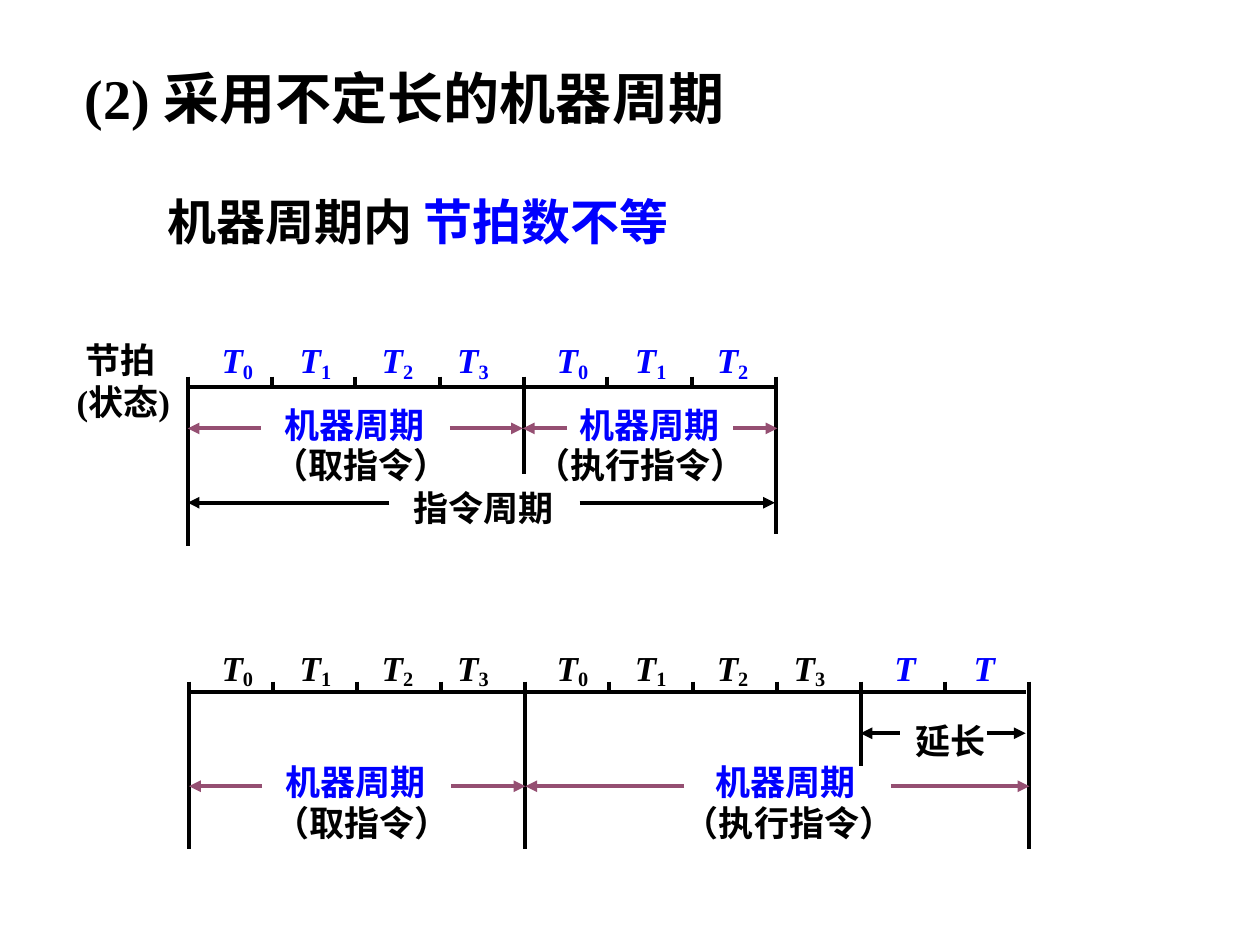
from pptx import Presentation
from pptx.dml.color import RGBColor
from pptx.enum.shapes import MSO_CONNECTOR
from pptx.enum.text import MSO_ANCHOR, MSO_AUTO_SIZE, PP_ALIGN
from pptx.oxml.ns import qn
from pptx.util import Emu, Pt
from lxml import etree

STRAIGHT = MSO_CONNECTOR.STRAIGHT
TOP = MSO_ANCHOR.TOP
NO_FIT = MSO_AUTO_SIZE.NONE
LEFT = PP_ALIGN.LEFT

PX = 9144  # 100 px to the inch
BLACK, BLUE, PLUM = "000000", "0000FF", "954F72"

deck = Presentation()
deck.slide_width, deck.slide_height = Emu(1000 * PX), Emu(750 * PX)
page = deck.slides.add_slide(deck.slide_layouts[1])


def add_line(start, end, color=BLACK, arrow=False):
    line = page.shapes.add_connector(STRAIGHT, *[Emu(v * PX) for v in (*start, *end)])
    line.line.color.rgb = RGBColor.from_string(color)
    line.line.width = Pt(2.25)
    properties = line._element.spPr
    if arrow:
        etree.SubElement(line.line._get_or_add_ln(), qn("a:tailEnd"), type="triangle")
    etree.SubElement(properties, qn("a:effectLst"))


def write_text(box, place, lines, size=20, wrap=False):
    """Place a box and fill it; each line is a list of (text, color) spans."""
    box.left, box.top, box.width, box.height = [Emu(v * PX) for v in place]
    frame = box.text_frame
    frame.word_wrap = wrap
    frame.auto_size = NO_FIT
    frame.vertical_anchor = TOP
    for index, spans in enumerate(lines):
        para = frame.add_paragraph() if index else frame.paragraphs[0]
        if box.is_placeholder:
            layout = para._p.get_or_add_pPr()
            layout.set("marL", "0")
            layout.set("indent", "0")
            etree.SubElement(layout, qn("a:buNone"))
            para.space_before = Pt(0)
        para.alignment = LEFT
        para.font.name = "Times New Roman"
        para.font.size = Pt(size)
        para.font.bold = True
        for text, color in spans:
            span = para.add_run()
            span.text = text
            span.font.color.rgb = RGBColor.from_string(color)
    return frame


write_text(page.shapes.title, (57, 45, 640, 64),
           [[("(2) 采用不定长的机器周期", BLACK)]], 32, True)
write_text(page.placeholders[1], (123, 147, 551, 57),
           [[("机器周期内 ", BLACK), ("节拍数不等", BLUE)]], 28, True)

# Time axes: left, right, y, number of beats, and the bottom of each long divider
axes = [
    (149, 615, 307, 7, {0: 433, 4: 376, 7: 424}),
    (150, 814, 549, 10, {0: 674, 4: 674, 8: 608, 10: 674}),
]
for left, right, y, beats, dividers in axes:
    add_line((left, y), (right, y))
    for beat in range(beats + 1):
        x = left + round(beat * 200 / 3)
        add_line((x, y - 8), (x, dividers.get(beat, y)))

# Arrows: from x, to x, y, color
arrows = [
    (207, 149, 340, PLUM), (357, 415, 340, PLUM),
    (450, 415, 340, PLUM), (582, 617, 340, PLUM),
    (309, 149, 399, BLACK), (460, 615, 399, BLACK),
    (208, 150, 624, PLUM), (358, 417, 624, PLUM),
    (543, 417, 624, PLUM), (707, 817, 624, PLUM),
    (714, 683, 582, BLACK), (783, 814, 582, BLACK),
]
for start, end, y, color in arrows:
    add_line((start, y), (end, y), color, arrow=True)

# Labels: left, top, width, text, color
labels = [
    (216, 315, 131, "机器周期", BLUE), (450, 315, 131, "机器周期", BLUE),
    (207, 347, 159, "（取指令）", BLACK), (415, 347, 187, "（执行指令）", BLACK),
    (318, 381, 131, "指令周期", BLACK),
    (217, 599, 131, "机器周期", BLUE), (558, 599, 131, "机器周期", BLUE),
    (208, 631, 159, "（取指令）", BLACK), (533, 631, 187, "（执行指令）", BLACK),
    (717, 566, 75, "延长", BLACK),
]
for left, top, width, text, color in labels:
    write_text(page.shapes.add_textbox(0, 0, 0, 0), (left, top, width, 44), [[(text, color)]])

state = write_text(page.shapes.add_textbox(0, 0, 0, 0), (51, 264, 107, 77),
                   [[("节拍", BLACK)], [("(状态)", BLACK)]])
state.paragraphs[0]._p.get_or_add_pPr().set("marL", str(7 * PX))

# Beat names: left, top, subscript, color
beat_lefts = (166, 228, 293, 353, 432, 494, 559, 620)
beat_names = [(left, 264, str(i % 4), BLUE) for i, left in enumerate(beat_lefts[:7])]
beat_names += [(left, 508, str(i % 4), BLACK) for i, left in enumerate(beat_lefts)]
beat_names += [(left, 508, "", BLUE) for left in (700, 763)]
for left, top, subscript, color in beat_names:
    spans = [("T", color)] + ([(subscript, color)] if subscript else [])
    width = 45 if subscript else 37
    frame = write_text(page.shapes.add_textbox(0, 0, 0, 0), (left, top, width, 45), [spans])
    letter, *digits = frame.paragraphs[0].runs
    letter.font.italic = True
    for digit in digits:
        digit.font._element.set("baseline", "-15000")

deck.save("out.pptx")
